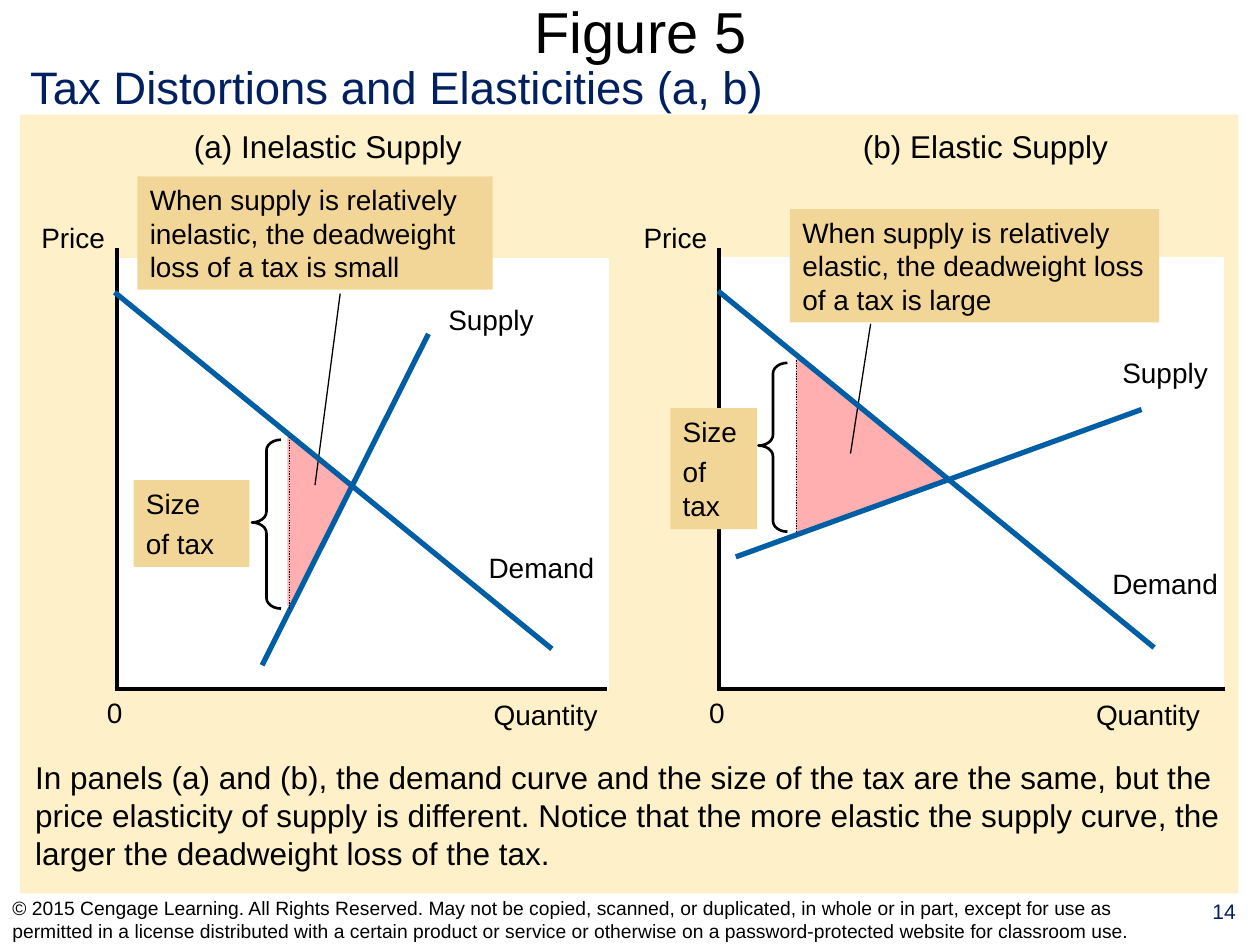
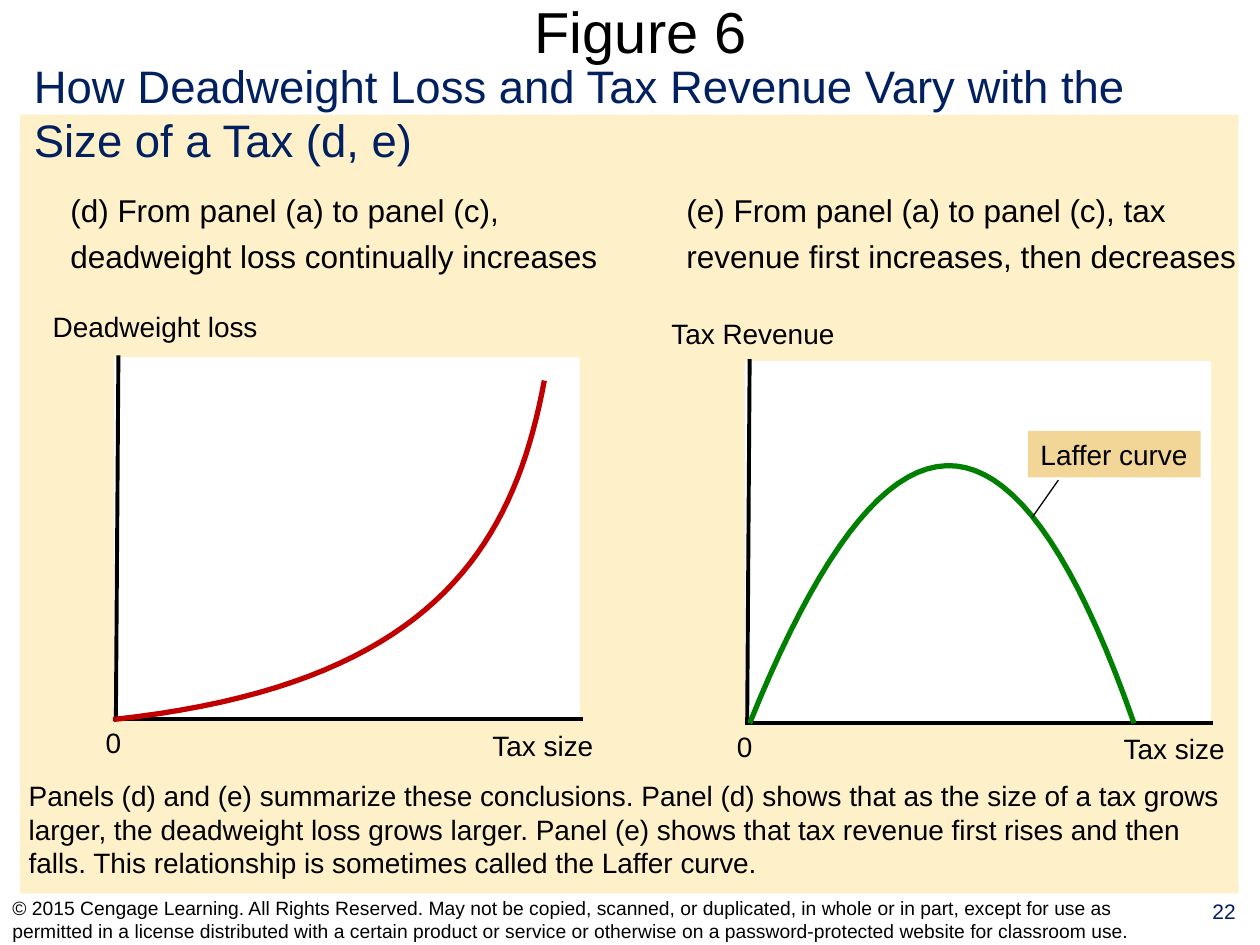
import pptx
import pptx.util
import pptx.dml.color
import pptx.enum.dml
import pptx.enum.shapes
import pptx.enum.text
import pptx.oxml
import pptx.oxml.ns

Inches = pptx.util.Inches
Pt = pptx.util.Pt
RGBColor = pptx.dml.color.RGBColor
Shape = pptx.enum.shapes.MSO_SHAPE
Anchor = pptx.enum.text.MSO_ANCHOR
Align = pptx.enum.text.PP_ALIGN

# Shared style
FONT = "Arial"
BLACK = RGBColor(0x00, 0x00, 0x00)
WHITE = RGBColor(0xFF, 0xFF, 0xFF)
NAVY = RGBColor(0x00, 0x20, 0x60)
CREAM = RGBColor(0xFE, 0xF0, 0xC8)
TAN = RGBColor(0xF2, 0xD6, 0x98)
PINK = RGBColor(0xFF, 0xAF, 0xAF)
BLUE = RGBColor(0x00, 0x5E, 0xA4)
RED = RGBColor(0xC0, 0x00, 0x00)
GREEN = RGBColor(0x00, 0x80, 0x00)

COPYRIGHT = (
    "© 2015 Cengage Learning. All Rights Reserved. May not be copied, scanned, or "
    "duplicated, in whole or in part, except for use as permitted in a license "
    "distributed with a certain product or service or otherwise on a "
    "password-protected website for classroom use."
)

# Content: boxes are (left, top, width, height), lines are (x1, y1, x2, y2)
TAX_DISTORTIONS = {
    "title": "Figure 5",
    "number": "14",
    "subtitle": ("Tax Distortions and Elasticities (a, b)", (0.14, 0.42, 6.07, 0.54), False),
    "summary": (
        "In panels (a) and (b), the demand curve and the size of the tax are the same, "
        "but the price elasticity of supply is different. Notice that the more elastic "
        "the supply curve, the larger the deadweight loss of the tax.",
        (0.18, 5.97, 9.71, 1.0), 18),
    "panels": [
        {
            "heading": (["(a) Inelastic Supply"], (1.44, 0.96, 2.32, 0.4)),
            "origin": (0.93, 5.47), "plot": (3.89, 3.41), "axes": (3.89, 3.5), "lean": 0,
            "y_label": ("Price", (0.23, 1.7, 0.7, 0.37)), "x_label": "Quantity",
            "loss": ((1.87, 3.9, 1.33, 0.48), 0.308),
            "callout": ("When supply is relatively inelastic, the deadweight loss of a "
                        "tax is small", (1.09, 1.4, 2.82, 0.9), True),
            "leader": (2.5, 3.85, 2.7, 2.33),
            "curves": [("Demand", (0.91, 2.32, 4.38, 5.15), (3.78, 4.32, 1.04, 0.37)),
                       ("Supply", (2.08, 5.28, 3.4, 2.65), (3.46, 2.35, 0.94, 0.37))],
            "tax_size": (1.06, 3.81, 0.92, 0.69),
            "brace": (2.0, 3.49), "tax_line": (2.3, 3.47, 2.3, 4.84),
        },
        {
            "heading": (["(b) Elastic Supply"], (6.75, 0.96, 2.14, 0.4)),
            "origin": (5.71, 5.47), "plot": (3.99, 3.42), "axes": (4.01, 3.5), "lean": 0,
            "y_label": ("Price", (5.01, 1.7, 0.7, 0.37)), "x_label": "Quantity",
            "loss": ((6.23, 2.96, 1.36, 1.16), 0.707),
            "callout": ("When supply is relatively elastic, the deadweight loss of a "
                        "tax is large", (6.27, 1.66, 2.93, 0.9), True),
            "leader": (6.75, 3.6, 6.91, 2.57),
            "curves": [("Demand", (5.7, 2.31, 9.16, 5.14), (8.73, 4.45, 1.04, 0.37)),
                       ("Supply", (5.84, 4.42, 9.06, 3.25), (8.81, 2.77, 0.94, 0.37))],
            "tax_size": (5.32, 3.24, 0.69, 0.96),
            "brace": (6.02, 2.88), "tax_line": (6.32, 2.86, 6.32, 4.22),
        },
    ],
}

LOSS_AND_REVENUE = {
    "title": "Figure 6",
    "number": "22",
    "subtitle": ("How Deadweight Loss and Tax Revenue Vary with the Size of a Tax (d, e)",
                 (0.17, 0.41, 9.65, 0.97), True),
    "summary": (
        "Panels (d) and (e) summarize these conclusions. Panel (d) shows that as the size "
        "of a tax grows larger, the deadweight loss grows larger. Panel (e) shows that tax "
        "revenue first rises and then falls. This relationship is sometimes called the "
        "Laffer curve.",
        (0.13, 6.13, 9.74, 0.9), 16),
    "panels": [
        {
            "heading": (["(d) From panel (a) to panel (c),",
                         "deadweight loss continually increases"], (0.46, 1.47, 4.38, 0.77)),
            "origin": (0.92, 5.71), "plot": (3.67, 2.86), "axes": (3.71, 2.89), "lean": 0.02,
            "y_label": ("Deadweight loss", (0.32, 2.41, 1.82, 0.37)), "x_label": "Tax size",
            "bezier": ([(0.9, 5.71), (3.4, 5.44), (4.07, 4.37), (4.32, 3.02)], RED),
        },
        {
            "heading": (["(e) From panel (a) to panel (c), tax",
                         "revenue first increases, then decreases"], (5.35, 1.47, 4.56, 0.77)),
            "origin": (5.93, 5.74), "plot": (3.67, 2.86), "axes": (3.7, 2.89), "lean": 0.02,
            "y_label": ("Tax Revenue", (5.23, 2.46, 1.52, 0.37)), "x_label": "Tax size",
            "bezier": ([(5.95, 5.74), (7.02, 3.09), (8.02, 2.94), (9.0, 5.74)], GREEN),
            "callout": ("Laffer curve", (8.16, 3.42, 1.37, 0.37), False),
            "leader": (8.19, 4.11, 8.4, 3.81),
        },
    ],
}


def inches(values):
    return [Inches(value) for value in values]


def write(shape, lines, size, color=BLACK, wrap=False, align=Align.LEFT, anchor=Anchor.TOP):
    frame = shape.text_frame
    frame.auto_size = pptx.enum.text.MSO_AUTO_SIZE.NONE
    frame.word_wrap = wrap
    frame.vertical_anchor = anchor
    for index, line in enumerate(lines):
        paragraph = frame.add_paragraph() if index else frame.paragraphs[0]
        paragraph.alignment = align
        paragraph.space_before = Pt(size / 4 if index else 0)
        run = paragraph.add_run()
        run.text = line
        run.font.name = FONT
        run.font.size = Pt(size)
        run.font.color.rgb = color


def add_text(slide, lines, box, size=16, **style):
    write(slide.shapes.add_textbox(*inches(box)), lines, size, **style)


def add_filled(slide, preset, box, fill, outline=None):
    shape = slide.shapes.add_shape(preset, *inches(box))
    shape.shadow.inherit = False
    shape.fill.solid()
    shape.fill.fore_color.rgb = fill
    if outline:
        shape.line.color.rgb = outline
        shape.line.width = Pt(2)
    else:
        shape.line.fill.background()
    return shape


def add_note(slide, lines, box, wrap=True):
    write(add_filled(slide, Shape.RECTANGLE, box, TAN), lines, 16, wrap=wrap)


def add_line(slide, ends, width, color=BLACK, dash=None):
    line = slide.shapes.add_connector(
        pptx.enum.shapes.MSO_CONNECTOR.STRAIGHT, *inches(ends))
    line.line.color.rgb = color
    line.line.width = Pt(width)
    if dash:
        line.line.dash_style = dash
    line._element.spPr.append(pptx.oxml.parse_xml(
        "<a:effectLst %s/>" % pptx.oxml.ns.nsdecls("a")))


def add_bezier(slide, controls, color, steps=40):
    points = []
    for step in range(steps + 1):
        t = step / steps
        weights = ((1 - t) ** 3, 3 * t * (1 - t) ** 2, 3 * t ** 2 * (1 - t), t ** 3)
        points.append(tuple(
            Inches(sum(weight * control[axis] for weight, control in zip(weights, controls)))
            for axis in (0, 1)))
    builder = slide.shapes.build_freeform(*points[0])
    builder.add_line_segments(points[1:], close=False)
    curve = builder.convert_to_shape()
    curve.shadow.inherit = False
    curve.fill.background()
    curve.line.color.rgb = color
    curve.line.width = Pt(3)


def add_axes(slide, panel):
    x, y = panel["origin"]
    plot_width, plot_height = panel["plot"]
    axis_width, axis_height = panel["axes"]
    add_filled(slide, Shape.RECTANGLE, (x, y - plot_height, plot_width, plot_height),
               WHITE, WHITE)
    add_line(slide, (x + panel["lean"], y - axis_height, x, y), 2.25)
    add_line(slide, (x - 0.02, y, x + axis_width, y), 2.25)
    label, box = panel["y_label"]
    add_text(slide, [label], box)
    add_text(slide, [panel["x_label"]], (x + 2.89, y + 0.02, 1.02, 0.37))
    add_text(slide, ["0"], (x - 0.18, y, 0.32, 0.37))


def add_tax_size(slide, panel):
    add_note(slide, ["Size", "of tax"], panel["tax_size"])
    brace = slide.shapes.add_shape(Shape.LEFT_BRACE, *inches((*panel["brace"], 0.23, 1.34)))
    brace.shadow.inherit = False
    brace.fill.background()
    brace.line.color.rgb = BLACK
    brace.line.width = Pt(1.5)
    brace.adjustments[0] = 0.37
    brace.adjustments[1] = 0.49
    add_line(slide, panel["tax_line"], 0.75, dash=pptx.enum.dml.MSO_LINE.ROUND_DOT)


def add_panel(slide, panel):
    lines, box = panel["heading"]
    add_text(slide, lines, box, 18)
    add_axes(slide, panel)
    if "bezier" in panel:
        add_bezier(slide, *panel["bezier"])
    # Deadweight loss triangle, pointing right
    if "loss" in panel:
        box, apex = panel["loss"]
        triangle = add_filled(slide, Shape.ISOSCELES_TRIANGLE, box, PINK, PINK)
        triangle.adjustments[0] = apex
        triangle.rotation = 90
    if "callout" in panel:
        text, box, wrap = panel["callout"]
        add_note(slide, [text], box, wrap)
        add_line(slide, panel["leader"], 0.75)
    for name, ends, box in panel.get("curves", []):
        add_line(slide, ends, 3, BLUE)
        add_text(slide, [name], box)
    if "tax_size" in panel:
        add_tax_size(slide, panel)


def add_figure(presentation, figure):
    slide = presentation.slides.add_slide(presentation.slide_layouts.get_by_name("Title Only"))
    # Band, title and footer
    add_filled(slide, Shape.RECTANGLE, (0.16, 0.91, 9.67, 6.18), CREAM)
    title = slide.shapes.title
    title.left, title.top, title.width, title.height = inches((0.35, 0, 9.47, 0.49))
    frame = title.text_frame
    frame.margin_left = frame.margin_right = frame.margin_top = frame.margin_bottom = 0
    write(title, [figure["title"]], 33, wrap=True, align=Align.CENTER, anchor=Anchor.MIDDLE)
    add_text(slide, [COPYRIGHT], (0, 7.1, 9.42, 0.4), 11, wrap=True, anchor=Anchor.MIDDLE)
    add_text(slide, [figure["number"]], (9.43, 7.08, 0.57, 0.41), 12, color=NAVY,
             wrap=True, align=Align.CENTER)
    # Subtitle, panels and summary
    text, box, wrap = figure["subtitle"]
    add_text(slide, [text], box, 26, color=NAVY, wrap=wrap)
    for panel in figure["panels"]:
        add_panel(slide, panel)
    text, box, size = figure["summary"]
    add_text(slide, [text], box, size, wrap=True)


def main():
    presentation = pptx.Presentation()
    presentation.slide_width = Inches(10)
    presentation.slide_height = Inches(7.5)
    for figure in (TAX_DISTORTIONS, LOSS_AND_REVENUE):
        add_figure(presentation, figure)
    presentation.save("out.pptx")


if __name__ == "__main__":
    main()
